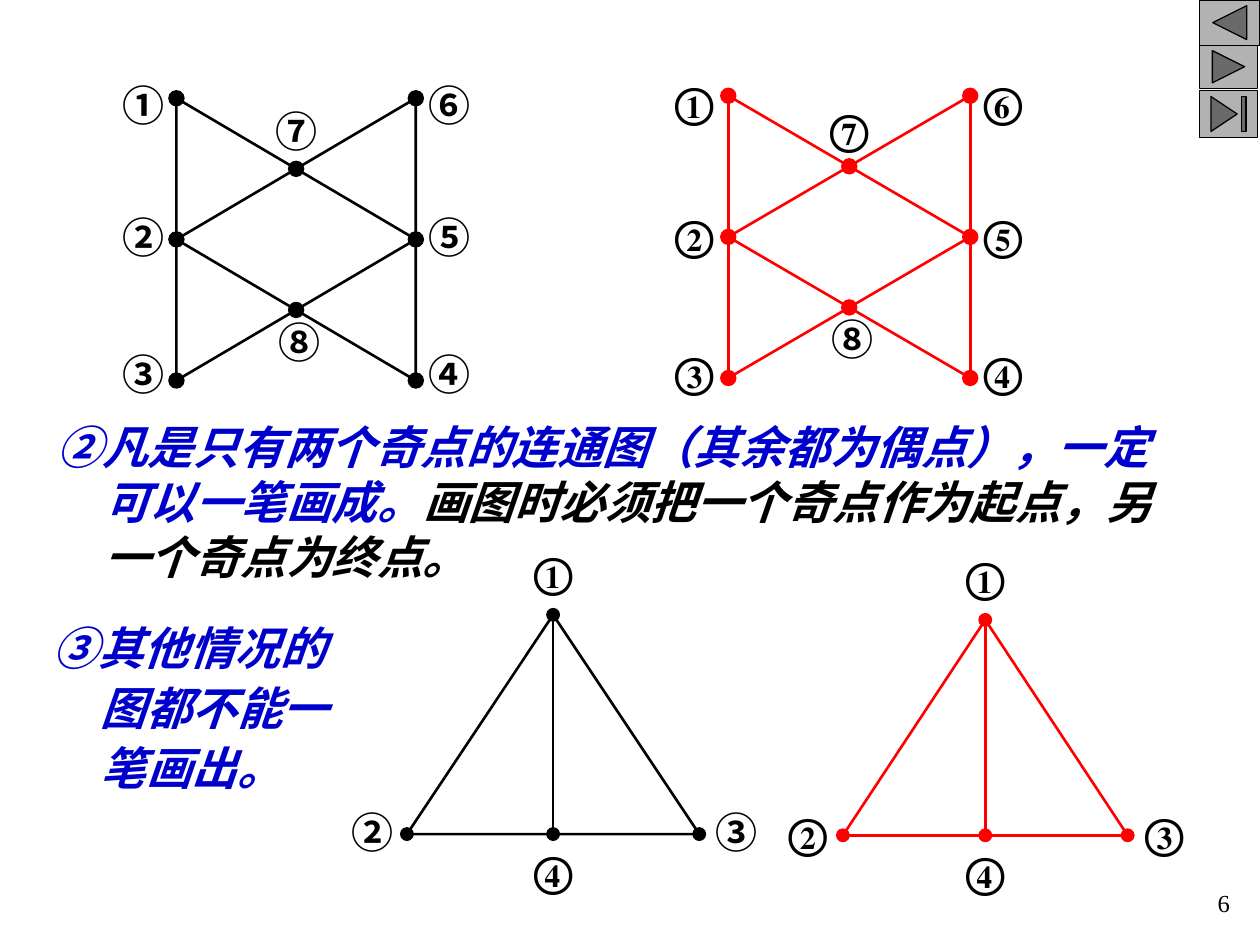
from dataclasses import dataclass

import pptx
import pptx.dml.color
import pptx.enum.shapes
import pptx.enum.text
import pptx.oxml
import pptx.oxml.ns
import pptx.util

RGB = pptx.dml.color.RGBColor
SHAPE = pptx.enum.shapes.MSO_SHAPE
ALIGN = pptx.enum.text.PP_ALIGN
Inches, Pt = pptx.util.Inches, pptx.util.Pt

BLACK = RGB(0x00, 0x00, 0x00)
RED = RGB(0xFF, 0x00, 0x00)
BLUE = RGB(0x00, 0x00, 0xCC)
GREY = RGB(0xB2, 0xB2, 0xB2)
SERIF = "Times New Roman"
SANS = "Noto Sans CJK SC"
LABEL_W, LABEL_H = 0.52, 0.5


@dataclass
class Node:
    """A vertex at a grid place, with its label's offset in inches."""
    label: str
    col: int
    row: int
    dx: float
    dy: float


@dataclass
class Graph:
    """A drawing whose grid starts at (left, top)."""
    nodes: list[Node]
    left: float
    top: float
    col_w: float
    row_h: float
    dot: float
    color: RGB
    font: str
    other_font: dict[str, str]
    edges: list[str]           # pairs of labels
    triangles: list[int]       # rotations of outlines filling the grid

    def at(self, node: Node) -> tuple[float, float]:
        return self.left + node.col * self.col_w, self.top + node.row * self.row_h


BOWTIE = [
    Node("①", 0, 0, -0.27, 0.05), Node("②", 0, 2, -0.27, -0.02),
    Node("③", 0, 4, -0.27, -0.05), Node("④", 2, 4, 0.26, -0.05),
    Node("⑤", 2, 2, 0.26, -0.02), Node("⑥", 2, 0, 0.26, 0.05),
    Node("⑦", 1, 1, 0, -0.3), Node("⑧", 1, 3, 0.02, 0.25),
]
TENT = [
    Node("①", 1, 0, 0, -0.34), Node("②", 0, 1, -0.28, -0.02),
    Node("③", 2, 1, 0.29, -0.02), Node("④", 1, 1, 0, 0.29),
]
BOWTIE_EDGES = ["①③", "⑥④", "①⑦", "⑦⑤", "⑥⑦", "⑦②", "②④", "③⑤"]
TENT_EDGES = ["①②", "①③", "②③", "①④"]

GRAPHS = [
    Graph(BOWTIE, 1.4, 0.78, 0.95, 0.56, 0.12, BLACK, SANS, {}, [], [270, 90]),
    Graph(BOWTIE, 5.78, 0.76, 0.96, 0.56, 0.12, RED, SERIF, {"⑧": SANS},
          BOWTIE_EDGES, []),
    Graph(TENT, 3.23, 4.88, 1.16, 1.74, 0.1, BLACK, SERIF,
          {"②": SANS, "③": SANS}, ["①④"], [0]),
    Graph(TENT, 6.69, 4.92, 1.13, 1.71, 0.1, RED, SERIF, {}, TENT_EDGES, []),
]


def add_text(s, box, runs, *, size, bold=False, italic=False, align=ALIGN.LEFT,
             wrap=True, hang=0.0, spacing=None, before=0.0):
    """Add a one-paragraph text box; runs are (text, font, colour)."""
    sp = s.shapes.add_textbox(*map(Inches, box))
    tf = sp.text_frame
    tf.word_wrap = wrap
    p = tf.paragraphs[0]
    p.alignment = align
    p.space_before = Pt(before)
    if spacing:
        p.line_spacing = Pt(spacing)
    if hang:
        p_pr = p._p.get_or_add_pPr()
        p_pr.set("marL", str(Inches(hang)))
        p_pr.set("indent", str(-Inches(hang)))
    for text, font, color in runs:
        r = p.add_run()
        r.text = text
        r.font.size, r.font.bold, r.font.italic = Pt(size), bold, italic
        r.font.name = font
        r.font.color.rgb = color
        ea = pptx.oxml.parse_xml(
            f'<a:ea {pptx.oxml.ns.nsdecls("a")} typeface="{SANS}"/>')
        r._r.get_or_add_rPr().find(pptx.oxml.ns.qn("a:latin")).addnext(ea)
    return sp


def add_shape(s, kind, box, *, line: RGB, width: float, fill: RGB | None = None):
    sp = s.shapes.add_shape(kind, *map(Inches, box))
    sp.shadow.inherit = False
    if fill is None:
        sp.fill.background()
    else:
        sp.fill.solid()
        sp.fill.fore_color.rgb = fill
    sp.line.color.rgb = line
    sp.line.width = Pt(width)
    return sp


def add_edge(s, start: tuple[float, float], end: tuple[float, float], color: RGB):
    c = s.shapes.add_connector(pptx.enum.shapes.MSO_CONNECTOR.STRAIGHT,
                               *map(Inches, start + end))
    c.line.color.rgb = color
    c.line.width = Pt(1.5)
    c._element.spPr.append(
        pptx.oxml.parse_xml(f'<a:effectLst {pptx.oxml.ns.nsdecls("a")}/>'))


def draw_graph(s, g: Graph) -> None:
    # Outlines, turned about the middle of the grid
    w = g.col_w * max(n.col for n in g.nodes)
    h = g.row_h * max(n.row for n in g.nodes)
    for angle in g.triangles:
        tw, th = (h, w) if angle % 180 else (w, h)
        box = (g.left + (w - tw) / 2, g.top + (h - th) / 2, tw, th)
        sp = add_shape(s, SHAPE.ISOSCELES_TRIANGLE, box, line=g.color, width=1.5)
        sp.rotation = angle
    # Edges
    places = {n.label: g.at(n) for n in g.nodes}
    for a, b in g.edges:
        add_edge(s, places[a], places[b], g.color)
    # Dots and their numbers
    for n in g.nodes:
        x, y = places[n.label]
        add_shape(s, SHAPE.OVAL, (x - g.dot / 2, y - g.dot / 2, g.dot, g.dot),
                  line=g.color, width=0.75, fill=g.color)
        add_text(s, (x + n.dx - LABEL_W / 2, y + n.dy - LABEL_H / 2, LABEL_W, LABEL_H),
                 [(n.label, g.other_font.get(n.label, g.font), BLACK)],
                 size=24, bold=True, align=ALIGN.CENTER, wrap=False)


def main() -> None:
    prs = pptx.Presentation()
    prs.slide_width, prs.slide_height = Inches(10), Inches(7.5)
    s = prs.slides.add_slide(prs.slide_layouts[6])

    # Navigation buttons
    buttons = [
        (SHAPE.ACTION_BUTTON_BACK_OR_PREVIOUS, 0, 0.48, 0.36),
        (SHAPE.ACTION_BUTTON_FORWARD_OR_NEXT, 0.36, 0.46, 0.34),
        (SHAPE.ACTION_BUTTON_END, 0.72, 0.46, 0.37),
    ]
    for kind, top, w, h in buttons:
        add_shape(s, kind, (9.52, top, w, h), line=BLACK, width=0.75, fill=GREY)

    # Rules
    rule = dict(size=26, bold=True, italic=True, hang=0.38, before=6.5)
    add_text(s, (0.35, 3.28, 9.12, 1.4), [
        ("②", SANS, BLUE),
        ("凡是只有两个奇点的连通图（其余都为偶点），一定可以一笔画成。", SERIF, BLUE),
        ("画图时必须把一个奇点作为起点，另一个奇点为终点。", SERIF, BLACK),
    ], spacing=31.2, **rule)
    add_text(s, (0.32, 4.83, 2.47, 1.53),
             [("③其他情况的图都不能一笔画出。", SERIF, BLUE)], spacing=34.3, **rule)

    # Graphs
    for g in GRAPHS:
        draw_graph(s, g)

    # Page number
    add_text(s, (7.46, 7, 2.4, 0.5), [("6", SERIF, BLACK)], size=14, align=ALIGN.RIGHT)

    prs.save("out.pptx")


if __name__ == "__main__":
    main()
